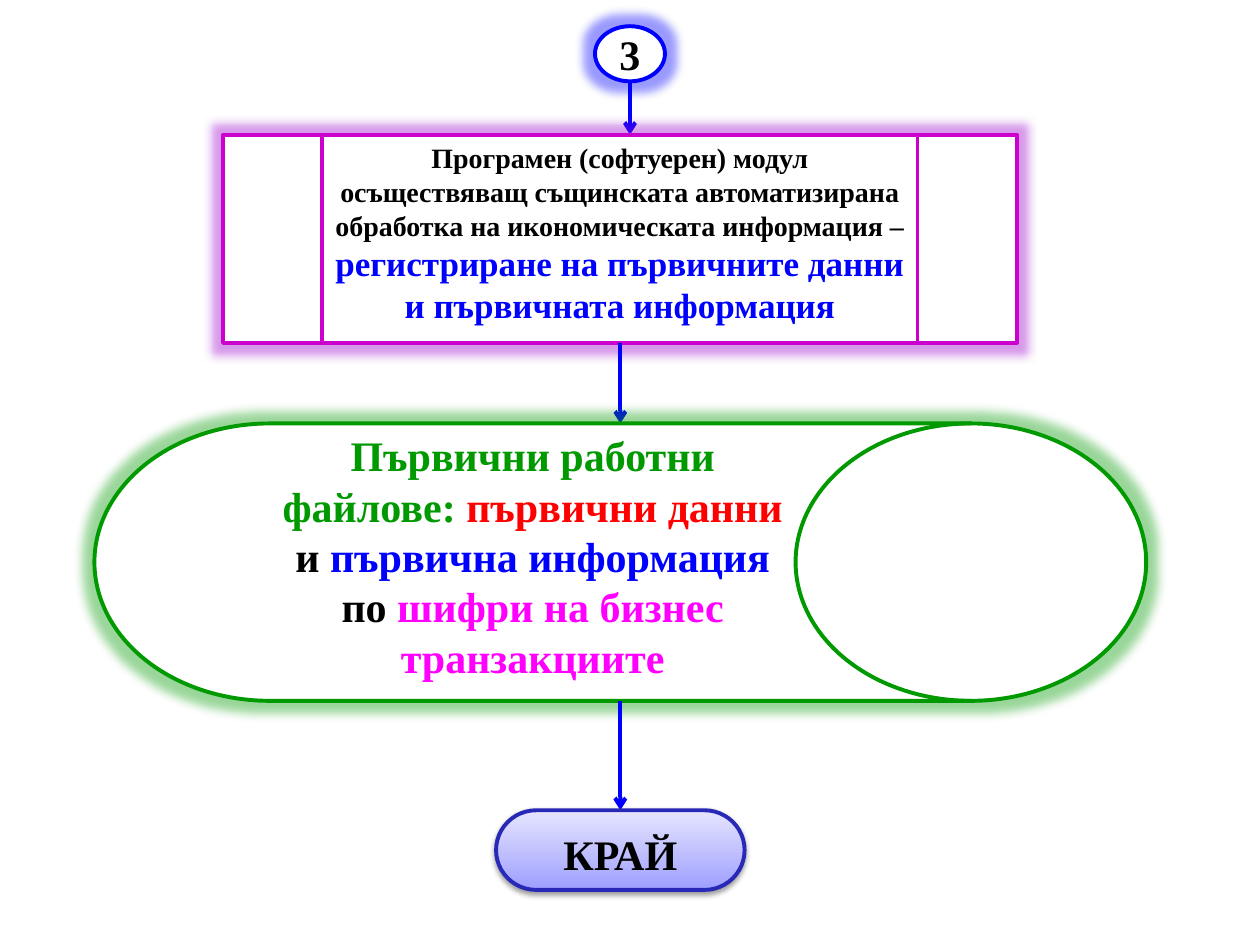
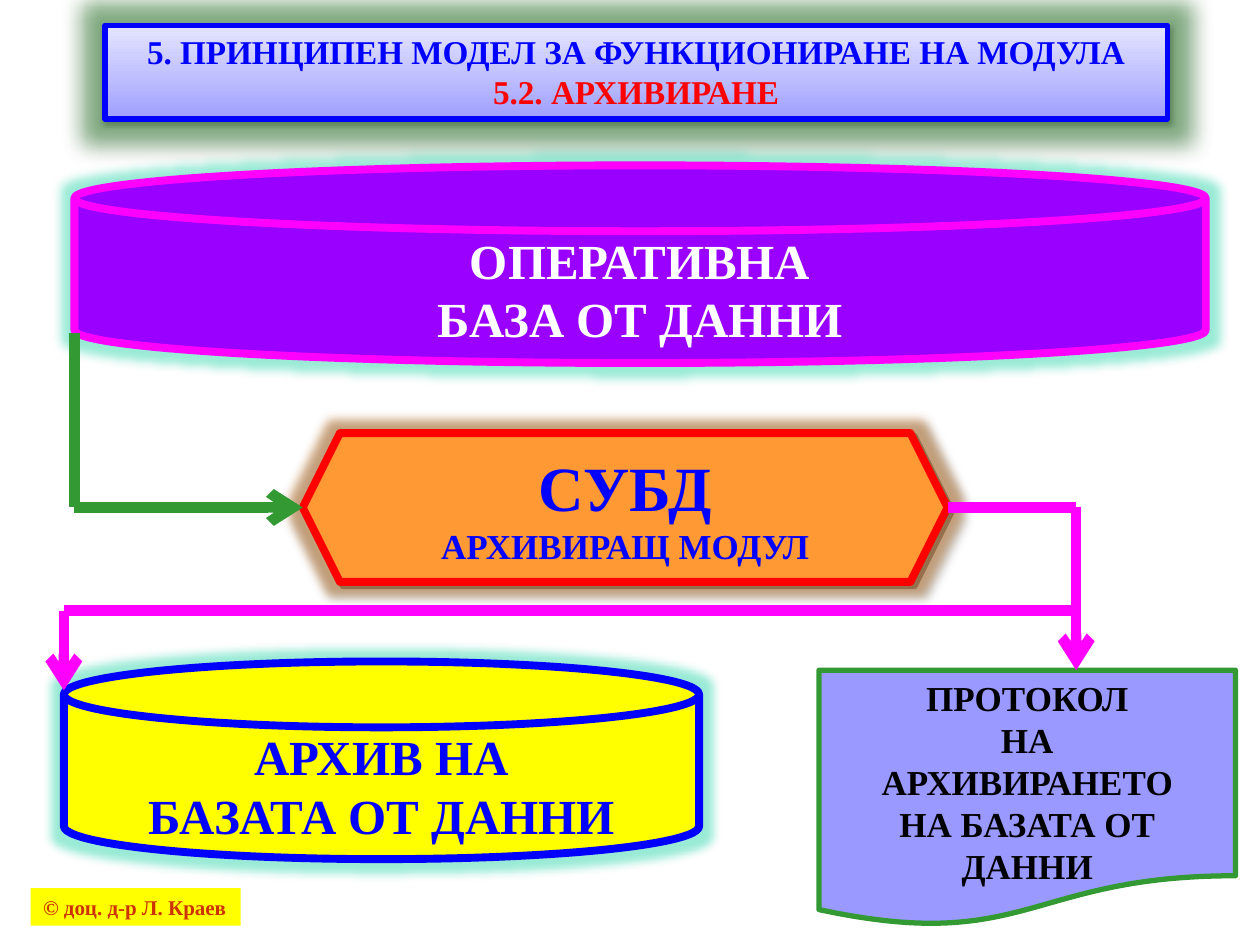
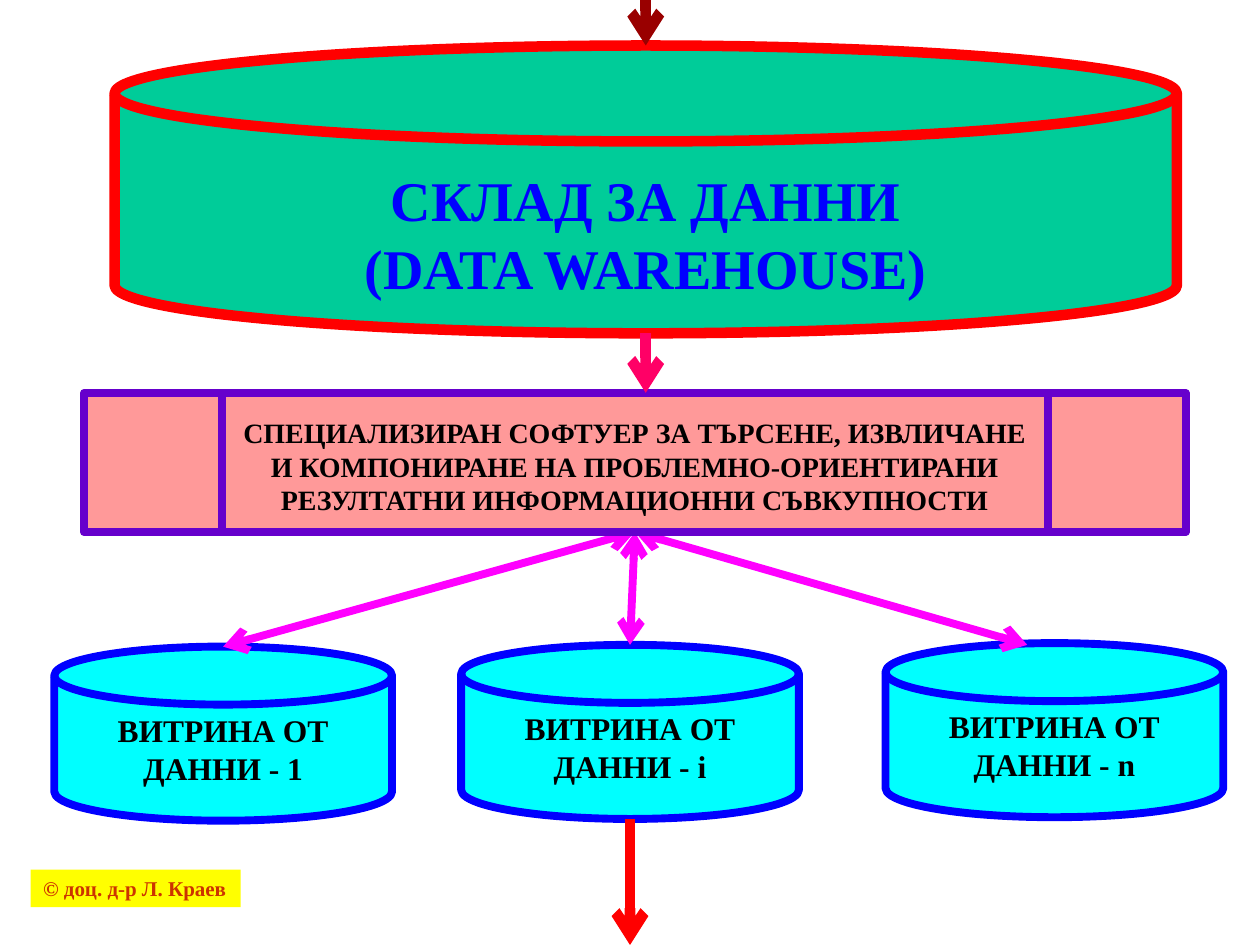
from collections import namedtuple
from itertools import pairwise

from lxml.etree import SubElement
from pptx import Presentation
from pptx.dml.color import RGBColor
from pptx.enum.shapes import MSO_CONNECTOR, MSO_SHAPE
from pptx.enum.text import MSO_ANCHOR, MSO_AUTO_SIZE, PP_ALIGN
from pptx.oxml.ns import qn
from pptx.util import Pt

# Shared colours, font and sizes
FONT = "Times New Roman"
WHITE = RGBColor(0xFF, 0xFF, 0xFF)
BLACK = RGBColor(0x00, 0x00, 0x00)
BLUE = RGBColor(0x00, 0x00, 0xFF)
RED = RGBColor(0xFF, 0x00, 0x00)
MAGENTA = RGBColor(0xFF, 0x00, 0xFF)
GREEN = RGBColor(0x00, 0x99, 0x00)
LEAF = RGBColor(0x33, 0x99, 0x33)
FOREST = RGBColor(0x00, 0x66, 0x00)
TEAL = RGBColor(0x00, 0xCC, 0x99)
CYAN = RGBColor(0x00, 0xFF, 0xFF)
YELLOW = RGBColor(0xFF, 0xFF, 0x00)
ORANGE = RGBColor(0xFF, 0x99, 0x33)
BROWN = RGBColor(0xB3, 0x59, 0x00)
RUST = RGBColor(0xCC, 0x33, 0x00)
MAROON = RGBColor(0x99, 0x00, 0x00)
CRIMSON = RGBColor(0xFF, 0x00, 0x66)
SALMON = RGBColor(0xFF, 0x99, 0x99)
ORCHID = RGBColor(0xCC, 0x00, 0xCC)
PLUM = RGBColor(0x99, 0x00, 0xCC)
VIOLET = RGBColor(0x99, 0x00, 0xFF)
INDIGO = RGBColor(0x66, 0x00, 0xCC)
NAVY = RGBColor(0x29, 0x29, 0xB8)
LAVENDER = RGBColor(0x99, 0x99, 0xFF)
GREY = RGBColor(0x80, 0x80, 0x80)
SHADE_LOW = RGBColor(0x9F, 0x9F, 0xFF)
SHADE_HIGH = RGBColor(0xE5, 0xE5, 0xFF)

SLIDE_WIDTH, SLIDE_HEIGHT = 720, 540
TITLE_ONLY, BLANK = 5, 6

Run = namedtuple("Run", "text size color")
Shadow = namedtuple("Shadow", "color alpha blur distance angle")
SOFT_SHADOW = Shadow(BLACK, 38, 3.1, 1.6, 90)
HARD_SHADOW = Shadow(GREY, 100, 0, 2.8, 45)


class Box(namedtuple("Box", "left top width height")):
    @property
    def center(self):
        return self.left + self.width / 2

    @property
    def middle(self):
        return self.top + self.height / 2

    @property
    def right(self):
        return self.left + self.width

    @property
    def bottom(self):
        return self.top + self.height

    def inner(self, dx, dy, width, height):
        return Box(self.left + dx, self.top + dy, width, height)


def add_effect_color(effect, color, alpha):
    tint = SubElement(effect, qn("a:srgbClr"), val=str(color))
    SubElement(tint, qn("a:alpha"), val=str(alpha * 1000))


def set_effects(shape, glow=None, radius=11, shadow=None):
    shape.shadow.inherit = False
    effects = shape._element.spPr.find(qn("a:effectLst"))
    if glow is not None:
        halo = SubElement(effects, qn("a:glow"), rad=str(Pt(radius)))
        add_effect_color(halo, glow, 40)
    if shadow:
        cast = SubElement(effects, qn("a:outerShdw"), blurRad=str(Pt(shadow.blur)),
                          dist=str(Pt(shadow.distance)),
                          dir=str(shadow.angle * 60000), rotWithShape="0")
        add_effect_color(cast, shadow.color, shadow.alpha)


def paint(shape, fill, line=None, weight=0):
    """Fill with a colour, or with the lavender shade when fill is None."""
    if fill is None:
        shape.fill.gradient()
        shape.fill.gradient_angle = 90
        for stop, color in zip(shape.fill.gradient_stops, (SHADE_LOW, SHADE_HIGH)):
            stop.color.rgb = color
    else:
        shape.fill.solid()
        shape.fill.fore_color.rgb = fill
    if line is None:
        shape.line.fill.background()
    else:
        shape.line.color.rgb = line
        shape.line.width = Pt(weight)


def write(shape, paragraphs, anchor=MSO_ANCHOR.TOP, align=PP_ALIGN.CENTER, inset=3.6):
    frame = shape.text_frame
    frame.word_wrap = True
    frame.vertical_anchor = anchor
    frame.margin_top = Pt(inset)
    for index, runs in enumerate(paragraphs):
        paragraph = frame.add_paragraph() if index else frame.paragraphs[0]
        paragraph.alignment = align
        font = paragraph.font
        font.name, font.bold = FONT, True
        same_size = len({run.size for run in runs}) == 1
        same_color = len({run.color for run in runs}) == 1
        if same_size:
            font.size = Pt(runs[0].size)
        if same_color:
            font.color.rgb = runs[0].color
        for run in runs:
            piece = paragraph.add_run()
            piece.text = run.text
            if not same_size:
                piece.font.size = Pt(run.size)
            if not same_color:
                piece.font.color.rgb = run.color


def lines(size, color, *texts):
    return [[Run(text, size, color)] for text in texts]


def add_node(slide, kind, box, fill, line, weight, paragraphs,
             glow=None, shadow=None, **layout):
    shape = slide.shapes.add_shape(kind, *map(Pt, box))
    paint(shape, fill, line, weight)
    set_effects(shape, glow, shadow=shadow)
    write(shape, paragraphs, **layout)
    return shape


def add_route(slide, points, color, weight, both=False):
    """Join the points with straight lines; the last one carries the arrow."""
    for start, end in pairwise(points):
        link = slide.shapes.add_connector(MSO_CONNECTOR.STRAIGHT,
                                          *map(Pt, (*start, *end)))
        link.line.color.rgb = color
        link.line.width = Pt(weight)
        properties = link._element.spPr
        SubElement(properties, qn("a:effectLst"))
        outline = properties.find(qn("a:ln"))
        if both:
            SubElement(outline, qn("a:headEnd"), type="arrow")
        if end == points[-1]:
            SubElement(outline, qn("a:tailEnd"), type="arrow")


def add_title(slide, box, paragraphs):
    title = slide.shapes.title
    title.left, title.top, title.width, title.height = map(Pt, box)
    paint(title, None, BLUE, 3)
    set_effects(title, FOREST, 25, SOFT_SHADOW)
    write(title, paragraphs)
    title.text_frame.auto_size = MSO_AUTO_SIZE.NONE


def add_copyright(slide, top):
    label = add_node(slide, MSO_SHAPE.RECTANGLE, Box(17.5, top, 120, 21.5), YELLOW,
                     None, 0, lines(12, RUST, "© доц. д-р Л. Краев"),
                     align=PP_ALIGN.LEFT)
    label.text_frame.word_wrap = False


def add_registration_flow(slide, box):
    """Connector 3, module, working files and end, from top to bottom."""
    entry = box.inner(286, 0, 40, 31.5)
    module = box.inner(73.5, 62, 453.5, 119)
    files = box.inner(0, 227, box.width, 158.5)
    finish = box.inner(229.5, 448, 142, 45.5)

    def step(x, start, end):
        add_route(slide, [(x, start.bottom), (x, end.top)], BLUE, 2.25)

    add_node(slide, MSO_SHAPE.FLOWCHART_CONNECTOR, entry, WHITE, BLUE, 2.25,
             lines(24, BLACK, "3"), glow=BLUE, anchor=MSO_ANCHOR.MIDDLE)
    step(entry.center, entry, module)
    add_node(slide, MSO_SHAPE.FLOWCHART_PREDEFINED_PROCESS, module, WHITE, ORCHID, 2.25,
             [[Run("Програмен (софтуерен) модул осъществяващ същинската автоматизирана "
                   "обработка на икономическата информация – ", 16, BLACK),
               Run("регистриране на първичните данни и първичната информация",
                   20, BLUE)]], glow=PLUM)
    step(box.center, module, files)
    add_node(slide, MSO_SHAPE.FLOWCHART_DIRECT_ACCESS_STORAGE, files, WHITE, GREEN, 2.25,
             [[Run("Първични работни файлове: ", 24, GREEN),
               Run("първични данни ", 24, RED),
               Run("и ", 24, BLACK),
               Run("първична информация", 24, BLUE),
               Run(" по ", 24, BLACK),
               Run("шифри на бизнес транзакциите", 24, MAGENTA)]], glow=GREEN)
    step(box.center, files, finish)
    add_node(slide, MSO_SHAPE.FLOWCHART_TERMINATOR, finish, None, NAVY, 2.25,
             lines(24, BLACK, "КРАЙ"), shadow=SOFT_SHADOW)


def add_archiving_model(slide, box):
    """Operational database, archiving module, archive and protocol."""
    database = box.inner(6, 0, 646.5, 113)
    manager = box.inner(136.5, 153, 368.5, 85)
    archive = box.inner(0, 283.5, 363, 113)
    protocol = box.inner(431.5, 288.5, 238, 146.5)

    for store, fill, line, color, texts in (
            (database, VIOLET, MAGENTA, WHITE, ("ОПЕРАТИВНА", "БАЗА ОТ ДАННИ")),
            (archive, YELLOW, BLUE, BLUE, ("АРХИВ НА", "БАЗАТА ОТ ДАННИ"))):
        add_node(slide, MSO_SHAPE.FLOWCHART_MAGNETIC_DISK, store, fill, line, 4.5,
                 lines(28, color, *texts), glow=TEAL, anchor=MSO_ANCHOR.MIDDLE,
                 inset=13)
    add_node(slide, MSO_SHAPE.HEXAGON, manager, ORANGE, RED, 4.5,
             lines(36, BLUE, "СУБД") + lines(20, BLUE, "АРХИВИРАЩ МОДУЛ"),
             glow=BROWN, shadow=HARD_SHADOW, anchor=MSO_ANCHOR.MIDDLE)
    add_node(slide, MSO_SHAPE.FLOWCHART_DOCUMENT, protocol, LAVENDER, LEAF, 3,
             lines(20, BLACK, "ПРОТОКОЛ", "НА", "АРХИВИРАНЕТО",
                   "НА БАЗАТА ОТ ДАННИ"))

    # Routes into and out of the archiving module
    turn, branch = box.left + 578.5, box.top + 254.5
    add_route(slide, [(database.left, database.bottom - 17),
                      (database.left, manager.middle),
                      (manager.left, manager.middle)], LEAF, 6)
    add_route(slide, [(manager.right, manager.middle), (turn, manager.middle),
                      (turn, protocol.top)], MAGENTA, 6)
    add_route(slide, [(turn, branch), (archive.left, branch),
                      (archive.left, archive.top + 16.5)], MAGENTA, 6)


def add_warehouse_model(slide, box):
    """Warehouse, search software and the data marts it serves."""
    warehouse = box.inner(34.5, 26, 607, 164.5)
    software = box.inner(17, 224.5, 629.5, 79.5)
    marts = [box.inner(dx, dy, 193, 99.5)
             for dx, dy in ((0, 369.5), (232.5, 368.5), (475, 367.5))]

    add_node(slide, MSO_SHAPE.FLOWCHART_MAGNETIC_DISK, warehouse, TEAL, RED, 6,
             lines(32, BLUE, "СКЛАД ЗА ДАННИ", "(DATA WAREHOUSE)"), inset=14)
    for mart, mark in zip(marts, "1in"):
        add_node(slide, MSO_SHAPE.FLOWCHART_MAGNETIC_DISK, mart, CYAN, BLUE, 4.5,
                 lines(18, BLACK, f"ВИТРИНА ОТ ДАННИ - {mark}"))

    hub = (software.center, software.bottom)
    for x, mart in zip((marts[0].center, marts[1].center, marts[2].left + 81), marts):
        foot = max(mart.top, marts[1].top)
        add_route(slide, [hub, (x, foot)], MAGENTA, 4.5, both=True)
    output = marts[1]
    add_route(slide, [(output.center, output.bottom), (output.center, box.bottom)], RED, 6)
    add_node(slide, MSO_SHAPE.FLOWCHART_PREDEFINED_PROCESS, software, SALMON, INDIGO, 4.5,
             lines(16, BLACK, "СПЕЦИАЛИЗИРАН СОФТУЕР ЗА ТЪРСЕНЕ, ИЗВЛИЧАНЕ И "
                   "КОМПОНИРАНЕ НА ПРОБЛЕМНО-ОРИЕНТИРАНИ РЕЗУЛТАТНИ "
                   "ИНФОРМАЦИОННИ СЪВКУПНОСТИ"), inset=13)
    axis = warehouse.center
    add_route(slide, [(axis, box.top), (axis, warehouse.top)], MAROON, 6)
    add_route(slide, [(axis, warehouse.bottom), (axis, software.top)], CRIMSON, 6)


def main():
    deck = Presentation()
    deck.slide_width, deck.slide_height = Pt(SLIDE_WIDTH), Pt(SLIDE_HEIGHT)

    def new_slide(layout):
        return deck.slides.add_slide(deck.slide_layouts[layout])

    # Registration of primary data
    add_registration_flow(new_slide(BLANK), Box(54, 15, 601, 493.5))

    # Archiving
    archiving = new_slide(TITLE_ONLY)
    add_title(archiving, Box(60, 14.5, 607, 53.5),
              lines(19, BLUE, "5. ПРИНЦИПЕН МОДЕЛ ЗА ФУНКЦИОНИРАНЕ НА МОДУЛА")
              + lines(19, RED, "5.2. АРХИВИРАНЕ"))
    add_archiving_model(archiving, Box(36.5, 94.5, 669.5, 435))
    add_copyright(archiving, 507.5)

    # Data warehouse
    warehousing = new_slide(BLANK)
    add_warehouse_model(warehousing, Box(31, 0, 668, SLIDE_HEIGHT))
    add_copyright(warehousing, 497)

    deck.save("out.pptx")


if __name__ == "__main__":
    main()
